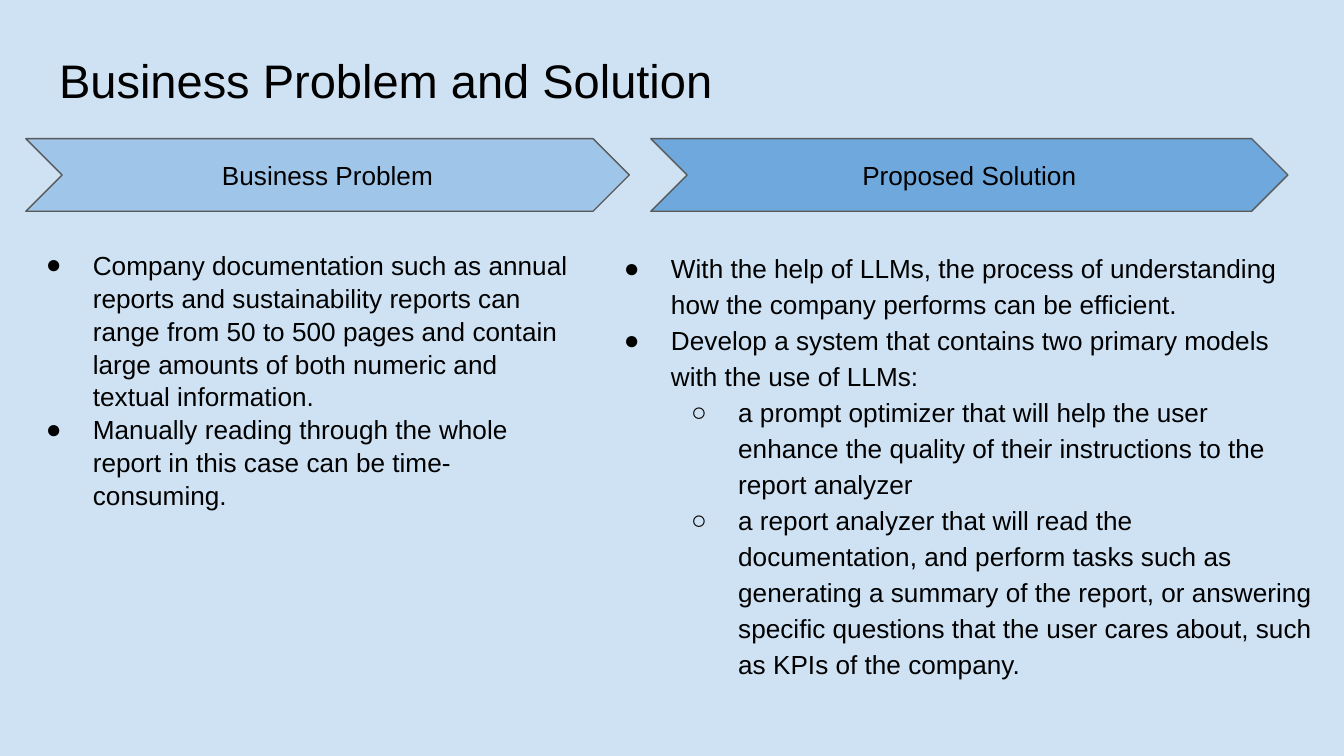
from dataclasses import dataclass

from lxml.etree import SubElement
from pptx import Presentation
from pptx.dml.color import RGBColor
from pptx.enum.shapes import MSO_SHAPE as Shape
from pptx.enum.text import MSO_ANCHOR as Anchor, PP_ALIGN as Align
from pptx.oxml.ns import qn
from pptx.util import Inches, Pt

BACKGROUND = RGBColor(0xCF, 0xE2, 0xF3)
LIGHT_BLUE = RGBColor(0x9F, 0xC5, 0xE8)
MID_BLUE = RGBColor(0x6F, 0xA8, 0xDC)
OUTLINE = RGBColor(0x59, 0x59, 0x59)
BLACK = RGBColor(0, 0, 0)

FONT = "Arial"
BODY_SIZE = 14
CELL = Inches(0.1)  # square grid cell
COLS = 100
ROWS = COLS * 9 / 16
HEADER_ROW, HEADER_ROWS = 10.32, 5.4
BODY_ROW = 17.43
BULLETS = ("●", "○")  # one per indent level


@dataclass(frozen=True)
class Box:
    col: float
    row: float
    cols: float
    rows: float

    def emu(self) -> list[int]:
        return [round(n * CELL) for n in (self.col, self.row, self.cols, self.rows)]


@dataclass(frozen=True)
class Item:
    text: str
    level: int = 0


@dataclass(frozen=True)
class Column:
    heading: str
    fill: RGBColor
    header: Box
    body: Box
    spacing: float
    items: tuple[Item, ...]


COLUMNS = (
    Column(
        "Business Problem", LIGHT_BLUE,
        Box(1.92, HEADER_ROW, 44.9, HEADER_ROWS),
        Box(0.93, BODY_ROW, 42.6, 24), 1.05,
        (
            Item("Company documentation such as annual reports and sustainability "
                 "reports can range from 50 to 500 pages and contain large amounts "
                 "of both numeric and textual information."),
            Item("Manually reading through the whole report in this case can be "
                 "time-consuming."),
        ),
    ),
    Column(
        "Proposed Solution", MID_BLUE,
        Box(48.43, HEADER_ROW, 47.4, HEADER_ROWS),
        Box(43.94, BODY_ROW, 54.8, 39.8), 1.15,
        (
            Item("With the help of LLMs, the process of understanding how the "
                 "company performs can be efficient."),
            Item("Develop a system that contains two primary models with the use "
                 "of LLMs:"),
            Item("a prompt optimizer that will help the user enhance the quality "
                 "of their instructions to the report analyzer", 1),
            Item("a report analyzer that will read the documentation, and perform "
                 "tasks such as generating a summary of the report, or answering "
                 "specific questions that the user cares about, such as KPIs of "
                 "the company.", 1),
        ),
    ),
)


def prepare_frame(sp):
    """Wrap the text and set equal insets; return the text frame."""
    tf = sp.text_frame
    tf.word_wrap = True
    tf.margin_left = tf.margin_top = tf.margin_right = tf.margin_bottom = CELL
    return tf


def add_run(p, text: str, size: float = BODY_SIZE) -> None:
    r = p.add_run()
    r.text = text
    r.font.name = FONT
    r.font.size = Pt(size)
    r.font.color.rgb = BLACK


def set_bullet(p, level: int) -> None:
    """Hang the bullet of this level in front of the paragraph."""
    p.level = level
    pPr = p._p.get_or_add_pPr()
    pPr.set("marL", str(Inches(0.5 * (level + 1))))
    pPr.set("indent", str(-Inches(0.35)))
    color = SubElement(pPr, qn("a:buClr"))
    SubElement(color, qn("a:srgbClr"), val=str(BLACK))
    SubElement(pPr, qn("a:buFont"), typeface=FONT)
    SubElement(pPr, qn("a:buChar"), char=BULLETS[level])


def add_title(s, text: str, box: Box) -> None:
    tf = prepare_frame(s.shapes.add_textbox(*box.emu()))
    add_run(tf.paragraphs[0], text, 25.2)


def add_header(s, column: Column) -> None:
    sp = s.shapes.add_shape(Shape.CHEVRON, *column.header.emu())
    sp.shadow.inherit = False
    sp.fill.solid()
    sp.fill.fore_color.rgb = column.fill
    sp.line.color.rgb = OUTLINE
    sp.line.width = Pt(0.75)
    tf = prepare_frame(sp)
    tf.vertical_anchor = Anchor.MIDDLE
    p = tf.paragraphs[0]
    p.alignment = Align.CENTER
    add_run(p, column.heading)


def add_body(s, column: Column) -> None:
    tf = prepare_frame(s.shapes.add_textbox(*column.body.emu()))
    for i, item in enumerate(column.items):
        p = tf.add_paragraph() if i else tf.paragraphs[0]
        p.line_spacing = column.spacing
        set_bullet(p, item.level)
        add_run(p, item.text)


def main() -> None:
    prs = Presentation()
    prs.slide_width, prs.slide_height = round(COLS * CELL), round(ROWS * CELL)
    s = prs.slides.add_slide(prs.slide_layouts[6])
    s.background.fill.solid()
    s.background.fill.fore_color.rgb = BACKGROUND

    # Title, then the body texts with the chevrons on top
    add_title(s, "Business Problem and Solution", Box(3.41, 2.8, 93.2, 6.3))
    for column in COLUMNS:
        add_body(s, column)
    for column in COLUMNS:
        add_header(s, column)

    prs.save("out.pptx")


if __name__ == "__main__":
    main()
